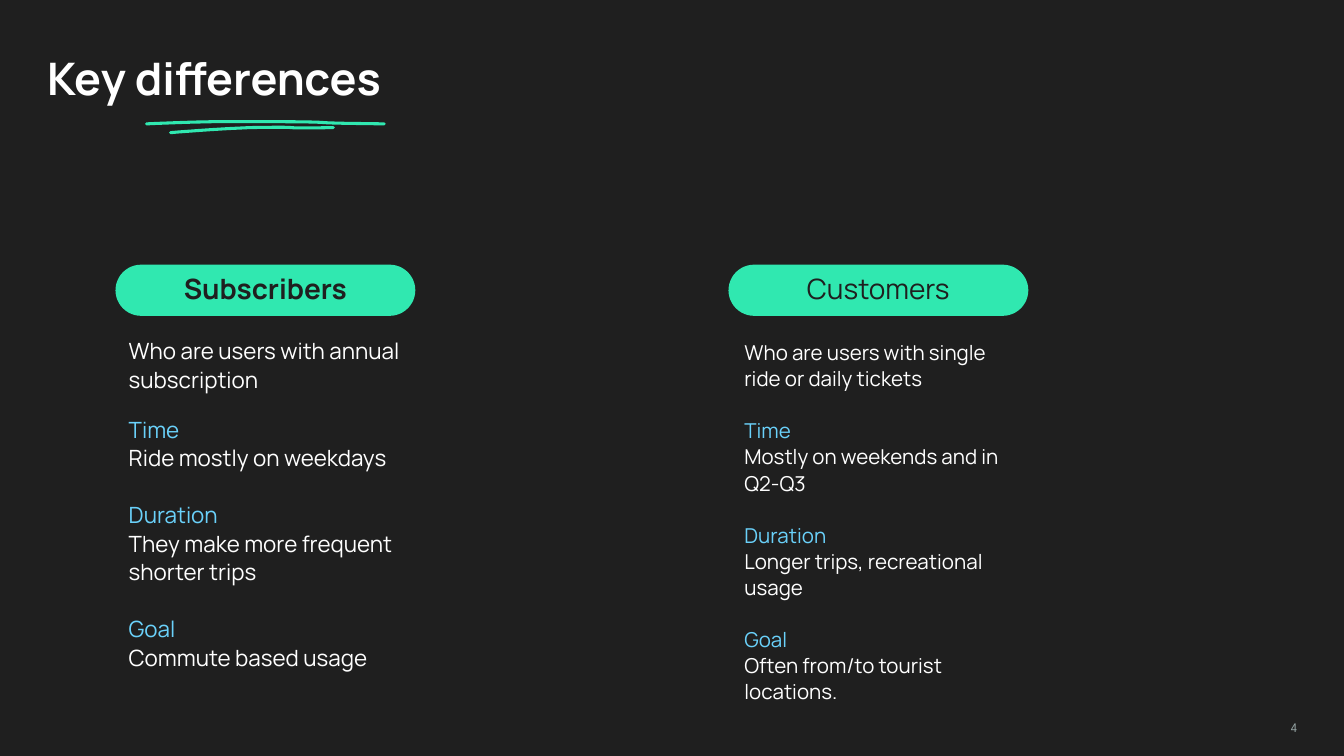
from lxml import etree
from pptx import Presentation
from pptx.dml.color import RGBColor
from pptx.enum.shapes import MSO_SHAPE
from pptx.enum.text import MSO_ANCHOR, MSO_AUTO_SIZE, PP_ALIGN
from pptx.oxml.ns import qn
from pptx.util import Pt

PILL = MSO_SHAPE.ROUNDED_RECTANGLE
TOP, MID = MSO_ANCHOR.TOP, MSO_ANCHOR.MIDDLE
LEFT, MID_X, RIGHT = PP_ALIGN.LEFT, PP_ALIGN.CENTER, PP_ALIGN.RIGHT
FIXED = MSO_AUTO_SIZE.NONE

COLORS = {"dark": "1F1F1F", "mint": "30E8B0", "sky": "6AD1FA",
          "white": "FFFFFF", "gray": "93A2A2"}
FACE = "Manrope"
PAD = 7.2
SPACING = 1.06

STROKES = [
    [(91.4, 71.1), (108, 69.8), (117.4, 69.1), (133.9, 68.4),
     (170.6, 67.7), (141.1, 69.1), (178.6, 68.4)],
    [(78.5, 66.4), (102.2, 65.4), (115.9, 65), (139.7, 65.2),
     (194.4, 65.4), (150.5, 65.8), (205.9, 66.4)],
]

COLUMNS = [
    {"box": (61.9, 141.8, 160.6, 27.4), "name": "Subscribers", "bold": True,
     "shift": (0, 31), "size": 12, "gaps": (11.5, 15.3, 15.3),
     "intro": "Who are users with annual subscription",
     "facts": [("Time", "Ride mostly on weekdays"),
               ("Duration", "They make more frequent shorter trips"),
               ("Goal", "Commute based usage")]},
    {"box": (390.3, 141.8, 160.6, 27.4), "name": "Customers", "bold": False,
     "shift": (1.4, 32.4), "size": 11, "gaps": (14, 14, 14),
     "intro": "Who are users with single ride or daily tickets",
     "facts": [("Time", "Mostly on weekends and in Q2-Q3"),
               ("Duration", "Longer trips, recreational usage"),
               ("Goal", "Often from/to tourist locations.")]},
]


def color(key):
    return RGBColor.from_string(COLORS[key])


def style(para, size, key, bold=False, face=FACE, align=LEFT):
    para.alignment = align
    for run in para.runs:
        font = run.font
        font.name, font.size, font.bold = face, Pt(size), bold
        font.color.rgb = color(key)


def set_frame(frame, pad, anchor=TOP):
    frame.word_wrap = True
    frame.auto_size = FIXED
    frame.vertical_anchor = anchor
    frame.margin_left = frame.margin_right = Pt(pad)
    frame.margin_top = frame.margin_bottom = Pt(pad)


def add_title(slide, box):
    title = slide.shapes.title
    title.left, title.top, title.width, title.height = map(Pt, box)
    frame = title.text_frame
    set_frame(frame, PAD)
    frame.text = "Key differences"
    style(frame.paragraphs[0], 24, "white", True)


def bezier(a, b, c, d, steps=12):
    for i in range(1, steps + 1):
        t = i / steps
        u = 1 - t
        yield tuple(u**3 * p + 3 * u * u * t * q + 3 * u * t * t * r + t**3 * s
                    for p, q, r, s in zip(a, b, c, d))


def add_stroke(slide, knots):
    points = [p for i in range(0, len(knots) - 1, 3)
              for p in bezier(*knots[i:i + 4])]
    pen = slide.shapes.build_freeform(Pt(knots[0][0]), Pt(knots[0][1]))
    pen.add_line_segments([(Pt(x), Pt(y)) for x, y in points], close=False)
    shape = pen.convert_to_shape()
    shape.shadow.inherit = False
    shape.fill.background()
    shape.line.color.rgb = color("mint")
    shape.line.width = Pt(1.65)
    line = shape.line._get_or_add_ln()
    line.set("cap", "rnd")
    etree.SubElement(line, qn("a:round"))


def add_column(slide, col):
    left, top, width, height = col["box"]
    pill = slide.shapes.add_shape(PILL, *map(Pt, col["box"]))
    pill.adjustments[0] = 0.5
    pill.shadow.inherit = False
    pill.fill.solid()
    pill.fill.fore_color.rgb = color("mint")
    pill.line.fill.background()
    set_frame(pill.text_frame, 0, MID)
    pill.text_frame.text = col["name"]
    head = pill.text_frame.paragraphs[0]
    head.line_spacing = 0.9
    style(head, 15, "dark", col["bold"], align=MID_X)

    dx, dy = col["shift"]
    body = slide.shapes.add_textbox(Pt(left + dx), Pt(top + dy), Pt(width), Pt(57))
    frame = body.text_frame
    set_frame(frame, PAD)
    rows = [(col["intro"], "white", 0)]
    for (label, note), gap in zip(col["facts"], col["gaps"]):
        rows += [(label, "sky", gap), (note, "white", 0)]
    for i, (text, key, gap) in enumerate(rows):
        para = frame.add_paragraph() if i else frame.paragraphs[0]
        para.text = text
        para.line_spacing = SPACING
        para.space_before = Pt(gap)
        style(para, col["size"], key)


def add_number(slide, box):
    frame = slide.shapes.add_textbox(*map(Pt, box)).text_frame
    set_frame(frame, PAD)
    frame.text = "4"
    style(frame.paragraphs[0], 7, "gray", face="League Spartan", align=RIGHT)


def main():
    deck = Presentation()
    deck.slide_width, deck.slide_height = Pt(720), Pt(405)
    slide = deck.slides.add_slide(deck.slide_layouts[5])
    slide.background.fill.solid()
    slide.background.fill.fore_color.rgb = color("dark")
    add_title(slide, (18, 20.2, 449.3, 44))
    for knots in STROKES:
        add_stroke(slide, knots)
    for col in COLUMNS:
        add_column(slide, col)
    add_number(slide, (529.2, 378, 172.8, 23))
    deck.save("out.pptx")


if __name__ == "__main__":
    main()
